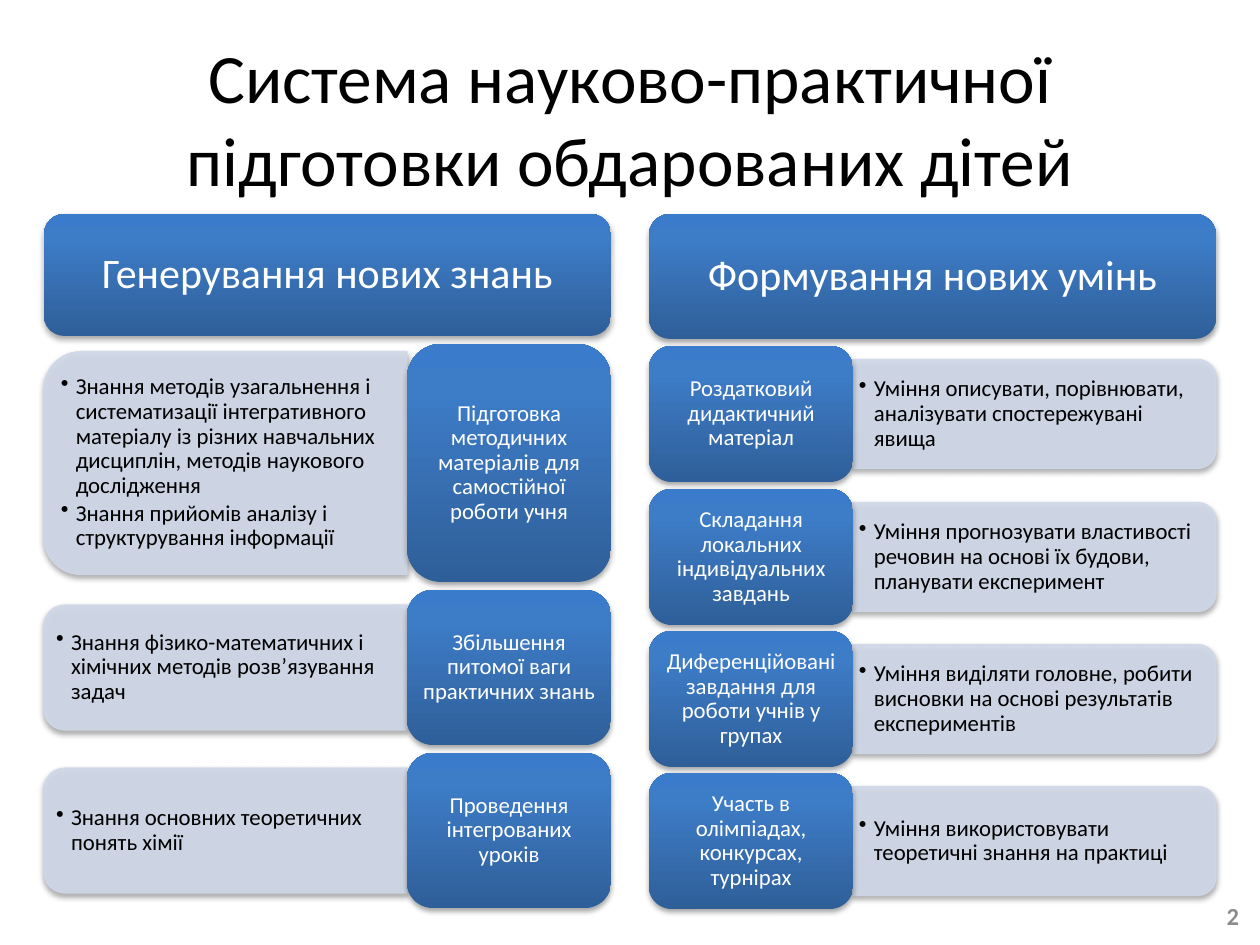
from lxml import etree
from pptx import Presentation
from pptx.dml.color import RGBColor
from pptx.enum.shapes import MSO_SHAPE
from pptx.enum.text import MSO_ANCHOR, PP_ALIGN
from pptx.oxml import parse_xml
from pptx.oxml.ns import qn
from pptx.util import Emu, Pt

ROUND = MSO_SHAPE.ROUNDED_RECTANGLE
ROUND_TOP = MSO_SHAPE.ROUND_2_SAME_RECTANGLE
MIDDLE = MSO_ANCHOR.MIDDLE
LEFT, CENTER, RIGHT = PP_ALIGN.LEFT, PP_ALIGN.CENTER, PP_ALIGN.RIGHT
NS = "http://schemas.openxmlformats.org/drawingml/2006/main"
FONT = "Calibri"
BLUE_STOPS = [(0, "2F5F99"), (80, "3D7CC7"), (100, "3A7CCB")]
PANEL_COLOR = "D0D8E8"
SCALE = 914400 / 126
HEADER_TOP, COLUMN_WIDTH, TAB_WIDTH = 214, 567, 204
CORNER_INSET = 0.0488  # share of the short side lost to a rounded corner

TITLE = "Система науково-практичної підготовки обдарованих дітей"
PAGE_NUMBER = "2"

# Rows: top, tab height, panel height, tab text, panel bullets
COLUMNS = [
    {"header": "Формування нових умінь", "left": 649, "header_height": 125,
     "tab_first": True, "rows": [
         (346, 136, 109, "Роздатковий дидактичний матеріал",
          ["Уміння описувати, порівнювати, аналізувати спостережувані явища"]),
         (489, 136, 109, "Складання локальних індивідуальних завдань",
          ["Уміння прогнозувати властивості речовин на основі їх будови, "
           "планувати експеримент"]),
         (631, 136, 109, "Диференційовані завдання для роботи учнів у групах",
          ["Уміння виділяти головне, робити висновки на основі результатів "
           "експериментів"]),
         (773, 136, 109, "Участь в олімпіадах, конкурсах, турнірах",
          ["Уміння використовувати теоретичні знання на практиці"]),
     ]},
    {"header": "Генерування нових знань", "left": 44, "header_height": 122,
     "tab_first": False, "rows": [
         (344, 238, 223,
          "Підготовка методичних матеріалів для самостійної роботи учня",
          ["Знання методів узагальнення і систематизації інтегративного "
           "матеріалу із різних навчальних дисциплін, методів наукового "
           "дослідження",
           "Знання прийомів аналізу і структурування інформації"]),
         (590, 155, 125, "Збільшення питомої ваги практичних знань",
          ["Знання фізико-математичних і хімічних методів розв’язування задач"]),
         (753, 155, 125, "Проведення інтегрованих уроків",
          ["Знання основних теоретичних понять хімії"]),
     ]},
]


def px(value):
    return Emu(round(value * SCALE))


def color(value):
    return RGBColor.from_string(value)


def add_text(texts, place, size=13, ink="FFFFFF", align=CENTER, bold=False,
             spacing=0.9, margins=(6, 4), bullet=False):
    box = page.shapes.add_textbox(*map(px, place))
    frame = box.text_frame
    frame.word_wrap = True
    frame.vertical_anchor = MIDDLE
    frame.margin_left = frame.margin_right = px(margins[0])
    frame.margin_top = frame.margin_bottom = px(margins[1])
    for index, text in enumerate(texts):
        para = frame.paragraphs[0] if index == 0 else frame.add_paragraph()
        para.alignment = align
        para.line_spacing = spacing
        if bullet:
            para.space_after = Pt(2)
            props = para._p.get_or_add_pPr()
            props.set("marL", str(px(15)))
            props.set("indent", str(px(-15)))
            etree.SubElement(props, qn("a:buChar")).set("char", "•")
        span = para.add_run()
        span.text = text
        span.font.name = FONT
        span.font.size = Pt(size)
        span.font.bold = bold
        span.font.color.rgb = color(ink)


def add_shadow(shape):
    shape.shadow.inherit = False
    effects = shape._element.spPr.find(qn("a:effectLst"))
    effects.append(parse_xml(
        f'<a:outerShdw xmlns:a="{NS}" blurRad="40000" dist="23000" dir="5400000" '
        'rotWithShape="0"><a:srgbClr val="000000"><a:alpha val="35000"/>'
        '</a:srgbClr></a:outerShdw>'))


def add_blue(text, place, **text_format):
    shape = page.shapes.add_shape(ROUND, *map(px, place))
    shape.line.fill.background()
    stops = "".join(f'<a:gs pos="{at * 1000}"><a:srgbClr val="{tone}"/></a:gs>'
                    for at, tone in BLUE_STOPS)
    shape._element.spPr.find(qn("a:prstGeom")).addnext(parse_xml(
        f'<a:gradFill xmlns:a="{NS}" rotWithShape="1"><a:gsLst>{stops}</a:gsLst>'
        '<a:lin ang="16200000" scaled="0"/></a:gradFill>'))
    add_shadow(shape)
    left, top, width, height = place
    inset = CORNER_INSET * min(width, height)
    add_text([text], (left + inset, top + inset, width - 2 * inset,
                      height - 2 * inset), **text_format)


def add_panel(bullets, place, rotation):
    left, top, width, height = place
    # The shape is upright before it turns, so its sides are swapped
    shape = page.shapes.add_shape(
        ROUND_TOP, px(left + (width - height) / 2),
        px(top + (height - width) / 2), px(height), px(width))
    shape.rotation = rotation
    shape.fill.solid()
    shape.fill.fore_color.rgb = color(PANEL_COLOR)
    shape.line.color.rgb = color(PANEL_COLOR)
    shape.line.width = Pt(0.75)
    for tone in shape._element.spPr.iter(qn("a:srgbClr")):
        etree.SubElement(tone, qn("a:alpha")).set("val", "90000")
    add_shadow(shape)
    inset = CORNER_INSET * height
    text_left = left if rotation == 90 else left + inset
    add_text(bullets, (text_left, top + inset, width - inset, height - 2 * inset),
             ink="000000", align=LEFT, bullet=True)


deck = Presentation()
deck.slide_width, deck.slide_height = px(1260), px(945)
page = deck.slides.add_slide(deck.slide_layouts[6])

# Title
add_text([TITLE], (63, 38, 1134, 158), size=39.6, ink="000000", spacing=1,
         margins=(13, 6))

# Two columns of tabs with panels
panel_width = COLUMN_WIDTH - TAB_WIDTH
for column in COLUMNS:
    left = column["left"]
    add_blue(column["header"],
             (left, HEADER_TOP, COLUMN_WIDTH, column["header_height"]),
             size=24, margins=(13, 6))
    if column["tab_first"]:
        tab_left, panel_left, rotation = left, left + TAB_WIDTH, 90
    else:
        tab_left, panel_left, rotation = left + panel_width, left, 270
    for top, tab_height, panel_height, label, bullets in column["rows"]:
        panel_top = top + (tab_height - panel_height) / 2
        add_panel(bullets, (panel_left, panel_top, panel_width, panel_height),
                  rotation)
        add_blue(label, (tab_left, top, TAB_WIDTH, tab_height))

# Page number
add_text([PAGE_NUMBER], (958, 891, 294, 50), size=14, ink="8C8C8C", align=RIGHT,
         bold=True, spacing=1, margins=(13, 6))

deck.save("out.pptx")
